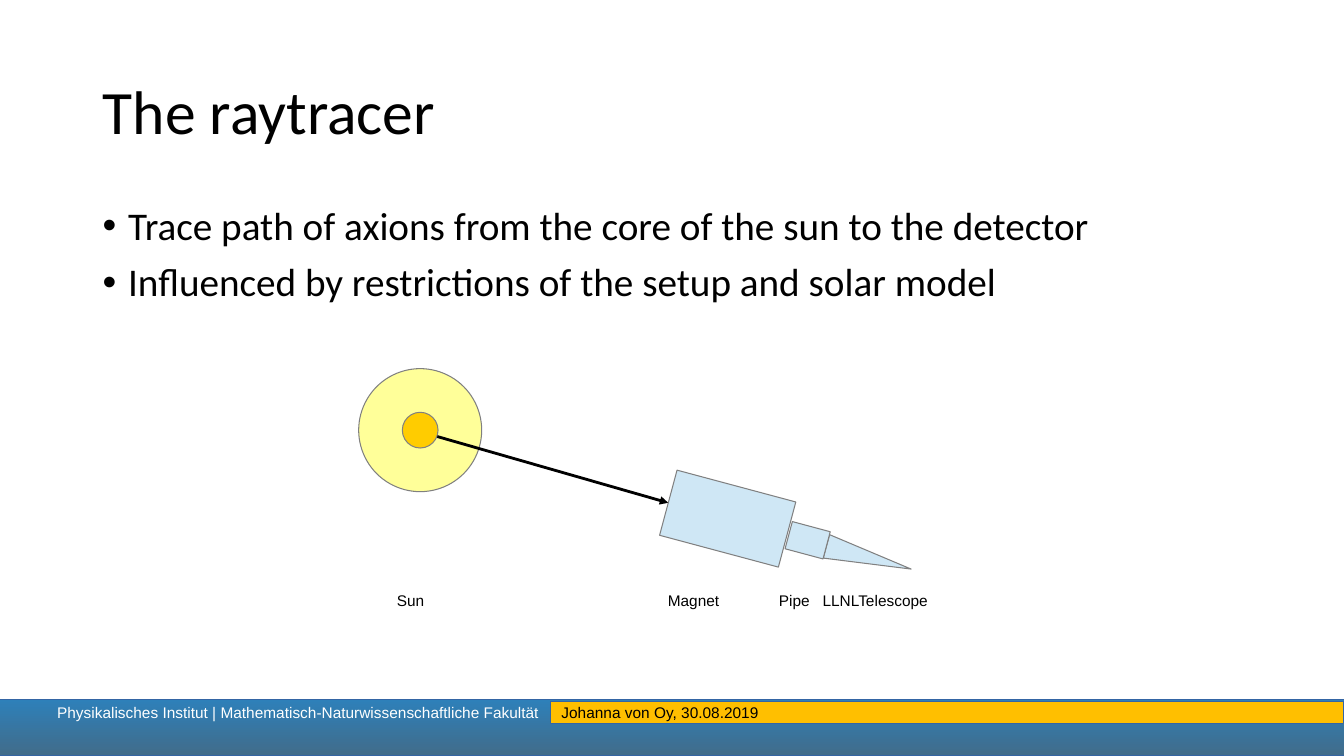
from lxml.etree import SubElement
from pptx import Presentation
from pptx.dml.color import RGBColor
from pptx.enum.shapes import MSO_CONNECTOR, MSO_SHAPE
from pptx.enum.text import MSO_ANCHOR, PP_ALIGN
from pptx.oxml.ns import qn
from pptx.util import Cm, Pt

COLORS = {
    "text": "000000", "white": "FFFFFF", "outline": "808080",
    "footer_top": "2E80B9", "footer_bottom": "416C8A", "footer_line": "3465A4",
    "date_bar": "FFBF00", "sun": "FFFF99", "core": "FFCC00", "device": "CFE7F5",
}


class SlideBuilder:
    heading_font = "Calibri"
    label_font = "Arial"

    def __init__(self, prs):
        self.s = prs.slides.add_slide(prs.slide_layouts[5])

    def color(self, name):
        return RGBColor.from_string(COLORS[name])

    def run(self, p, text, font, size, color="text"):
        r = p.add_run()
        r.text = text
        r.font.name = font
        r.font.size = Pt(size)
        r.font.color.rgb = self.color(color)

    def title(self, text, *box):
        sp = self.s.shapes.title
        sp.left, sp.top, sp.width, sp.height = map(Cm, box)
        tf = sp.text_frame
        tf.vertical_anchor = MSO_ANCHOR.MIDDLE
        p = tf.paragraphs[0]
        p.alignment = PP_ALIGN.LEFT
        p.line_spacing = 0.9
        self.run(p, text, self.heading_font, 44)

    def text_box(self, *box):
        tf = self.s.shapes.add_textbox(*map(Cm, box)).text_frame
        tf.word_wrap = True
        return tf

    def bullets(self, items, *box):
        tf = self.text_box(*box)
        for i, item in enumerate(items):
            p = tf.add_paragraph() if i else tf.paragraphs[0]
            p.line_spacing = 0.9
            if i:
                p.space_before = Pt(10)
            pPr = p._p.get_or_add_pPr()
            pPr.set("marL", str(Cm(0.64)))
            pPr.set("indent", str(-Cm(0.64)))
            SubElement(pPr, qn("a:buFont"), typeface="Arial")
            SubElement(pPr, qn("a:buChar"), char="•")
            self.run(p, item, self.heading_font, 28)

    def label(self, text, *box, color="text", stops=()):
        p = self.text_box(*box).paragraphs[0]
        if stops:
            tabs = SubElement(p._p.get_or_add_pPr(), qn("a:tabLst"))
            for stop in stops:
                SubElement(tabs, qn("a:tab"), pos=str(Cm(stop)), algn="l")
        self.run(p, text, self.label_font, 11, color)

    def shape(self, kind, fill, *box, line="outline", rotation=0):
        sp = self.s.shapes.add_shape(kind, *map(Cm, box))
        sp.shadow.inherit = False
        sp.rotation = rotation
        sp.fill.solid()
        sp.fill.fore_color.rgb = self.color(fill)
        sp.line.color.rgb = self.color(line)
        sp.line.width = Pt(0)
        return sp

    def gradient_bar(self, bottom, top, *box):
        sp = self.shape(MSO_SHAPE.RECTANGLE, bottom, *box, line="footer_line")
        sp.fill.gradient()
        sp.fill.gradient_angle = 90
        for stop, name in zip(sp.fill.gradient_stops, (bottom, top)):
            stop.color.rgb = self.color(name)

    def arrow(self, *ends):
        c = self.s.shapes.add_connector(MSO_CONNECTOR.STRAIGHT, *map(Cm, ends))
        c.line.color.rgb = self.color("text")
        c.line.width = Pt(0)
        SubElement(c.line._get_or_add_ln(), qn("a:tailEnd"), type="triangle")
        SubElement(c._element.spPr, qn("a:effectLst"))


def main():
    prs = Presentation()
    prs.slide_width, prs.slide_height = Cm(33.87), Cm(19.05)
    b = SlideBuilder(prs)

    b.gradient_bar("footer_bottom", "footer_top", -0.13, 17.63, 34.06, 1.42)
    b.shape(MSO_SHAPE.RECTANGLE, "date_bar", 13.87, 17.68, 20, 0.56, line="footer_line")
    b.label("Physikalisches Institut | Mathematisch-Naturwissenschaftliche Fakultät",
            1.19, 17.6, 12.95, 0.71, color="white")
    b.label("Johanna von Oy, 30.08.2019", 13.9, 17.6, 19.8, 0.71)

    b.title("The raytracer", 2.34, 1.04, 29.21, 3.68)
    b.bullets(["Trace path of axions from the core of the sun to the detector",
               "Influenced by restrictions of the setup and solar model"],
              2.34, 5.08, 29.21, 12.09)

    sun_x, sun_y = 10.59, 10.84
    for fill, size in (("sun", 3.1), ("core", 0.9)):
        b.shape(MSO_SHAPE.OVAL, fill, sun_x - size / 2, sun_y - size / 2, size, size)
    b.arrow(11.02, 11, 16.84, 12.67)

    tilt = 15
    b.shape(MSO_SHAPE.RECTANGLE, "device", 16.79, 12.22, 3.1, 1.7, rotation=tilt)
    b.shape(MSO_SHAPE.ISOSCELES_TRIANGLE, "device", 21.59, 12.95, 0.61, 2.21,
            rotation=tilt + 90)
    b.shape(MSO_SHAPE.RECTANGLE, "device", 19.86, 13.26, 0.99, 0.71, rotation=tilt)
    b.label("\tSun\tMagnet\tPipe\tLLNLTelescope", 9.42, 14.78, 14.5, 1.12,
            stops=(0.33, 7.16, 9.96, 11.06))

    prs.save("out.pptx")


if __name__ == "__main__":
    main()
